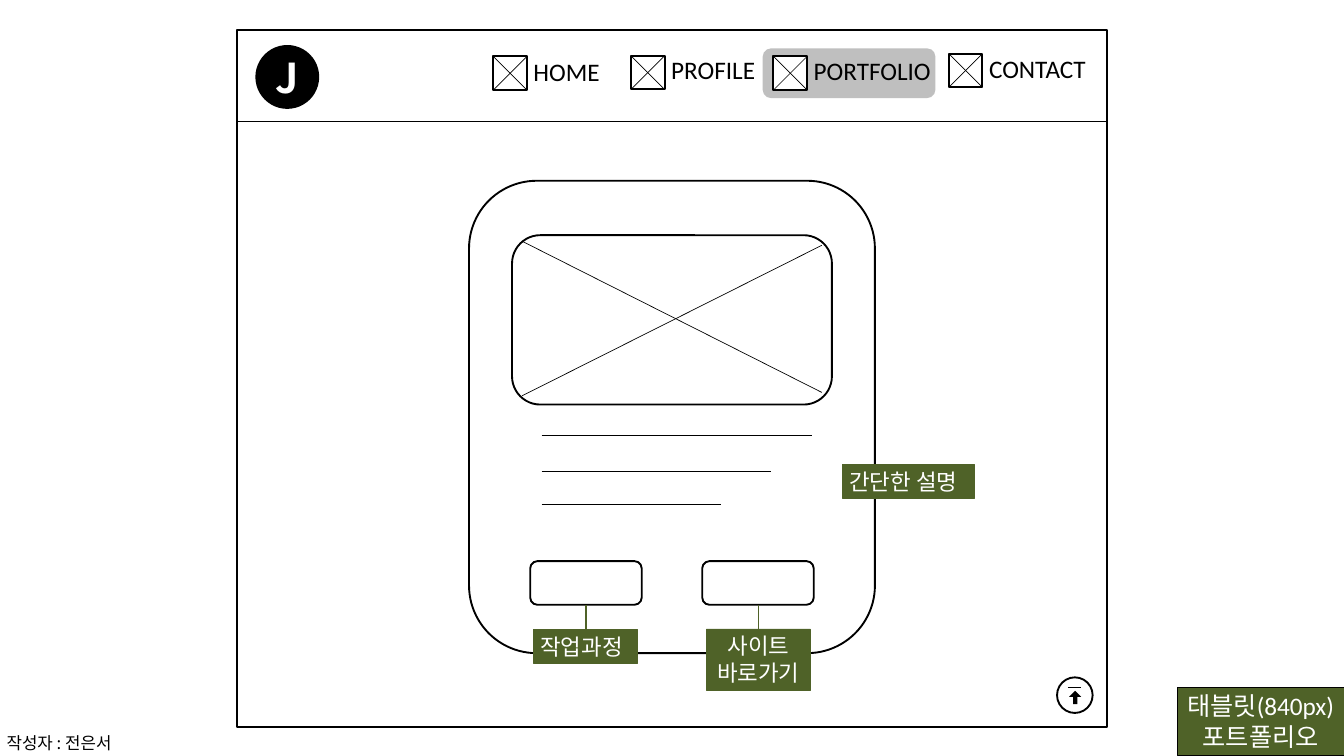
from dataclasses import dataclass

import pptx
import pptx.dml.color
import pptx.enum.shapes
import pptx.enum.text
import pptx.oxml.ns
import pptx.shapes.autoshape
import pptx.shapes.shapetree
import pptx.util
from lxml import etree
from pptx.util import Inches

COLORS = {"ink": "000000", "paper": "FFFFFF", "label": "4F6228", "active": "BFBFBF"}
LATIN_FONT = "Calibri"
KOREAN_FONT = "Noto Sans CJK KR"
ICON_SIZE = 0.5
SHAPES = pptx.enum.shapes.MSO_SHAPE
ALIGN = pptx.enum.text.PP_ALIGN
ANCHOR = pptx.enum.text.MSO_ANCHOR


@dataclass
class Box:
    left: float
    top: float
    width: float
    height: float

    def lengths(self) -> list:
        return [Inches(value) for value in (self.left, self.top, self.width, self.height)]


@dataclass
class TextStyle:
    size: float
    color: str
    font: str = LATIN_FONT
    align: ALIGN = ALIGN.LEFT
    bold: bool = False


@dataclass
class Label:
    box: Box
    lines: list
    size: float = 24
    border: str = "label"
    align: ALIGN = ALIGN.CENTER


@dataclass
class NavItem:
    text: str
    icon_left: float
    icon_top: float
    text_top: float
    text_width: float


def rgb(name: str) -> pptx.dml.color.RGBColor:
    return pptx.dml.color.RGBColor.from_string(COLORS[name])


def draw_shape(shapes: pptx.shapes.shapetree.SlideShapes, kind: SHAPES, box: Box,
               fill: str = "", border: str = "ink") -> pptx.shapes.autoshape.Shape:
    shape = shapes.add_shape(kind, *box.lengths())
    shape.shadow.inherit = False
    if fill:
        shape.fill.solid()
        shape.fill.fore_color.rgb = rgb(fill)
    else:
        shape.fill.background()
    if border:
        shape.line.color.rgb = rgb(border)
        shape.line.width = pptx.util.Pt(2)
    else:
        shape.line.fill.background()
    return shape


def draw_line(shapes: pptx.shapes.shapetree.SlideShapes, start: tuple, end: tuple,
              width: float = 0.75, color: str = "ink") -> None:
    points = [Inches(value) for value in (*start, *end)]
    connector = shapes.add_connector(pptx.enum.shapes.MSO_CONNECTOR.STRAIGHT, *points)
    connector.line.color.rgb = rgb(color)
    connector.line.width = pptx.util.Pt(width)
    properties = connector._element.spPr
    etree.SubElement(properties, pptx.oxml.ns.qn("a:effectLst"))


def write_text(shape: pptx.shapes.autoshape.Shape, lines: list, style: TextStyle) -> None:
    frame = shape.text_frame
    for index, line in enumerate(lines):
        paragraph = frame.add_paragraph() if index else frame.paragraphs[0]
        paragraph.alignment = style.align
        run = paragraph.add_run()
        run.text = line
        run.font.name = style.font
        run.font.size = pptx.util.Pt(style.size)
        run.font.bold = style.bold
        run.font.color.rgb = rgb(style.color)


def draw_text(shapes: pptx.shapes.shapetree.SlideShapes, box: Box, lines: list,
              style: TextStyle) -> pptx.shapes.autoshape.Shape:
    text_box = shapes.add_textbox(*box.lengths())
    text_box.text_frame.word_wrap = False
    text_box.text_frame.auto_size = pptx.enum.text.MSO_AUTO_SIZE.SHAPE_TO_FIT_TEXT
    write_text(text_box, lines, style)
    return text_box


def draw_label(shapes: pptx.shapes.shapetree.SlideShapes, label: Label) -> None:
    style = TextStyle(label.size, "paper", align=label.align)
    text_box = draw_text(shapes, label.box, label.lines, style)
    text_box.fill.solid()
    text_box.fill.fore_color.rgb = rgb("label")
    text_box.line.color.rgb = rgb(label.border)
    text_box.line.width = pptx.util.Pt(0.75)


def draw_nav_item(shapes: pptx.shapes.shapetree.SlideShapes, item: NavItem) -> None:
    group = shapes.add_group_shape().shapes
    left, top = item.icon_left, item.icon_top
    right, bottom = left + ICON_SIZE, top + ICON_SIZE
    draw_shape(group, SHAPES.RECTANGLE, Box(left, top, ICON_SIZE, ICON_SIZE), "paper")
    draw_line(group, (left, bottom), (right, top))
    draw_line(group, (right, bottom), (left, top))
    draw_text(group, Box(right, item.text_top, item.text_width, 0.56), [item.text],
              TextStyle(27, "ink"))


def draw_card(shapes: pptx.shapes.shapetree.SlideShapes) -> None:
    group = shapes.add_group_shape().shapes
    for box in (
        Box(6.98, 2.69, 6.04, 7.03),
        Box(7.62, 3.5, 4.76, 2.52),
        Box(7.89, 8.35, 1.66, 0.65),
        Box(10.45, 8.35, 1.66, 0.65),
    ):
        draw_shape(group, SHAPES.ROUNDED_RECTANGLE, box, "paper")
    for top, right in ((6.48, 12.08), (7.01, 11.48), (7.5, 10.73)):
        draw_line(group, (8.06, top), (right, top))
    draw_line(group, (7.77, 5.89), (12.23, 3.65))
    draw_line(group, (7.77, 3.59), (12.23, 5.84))


def draw_top_button(shapes: pptx.shapes.shapetree.SlideShapes) -> None:
    group = shapes.add_group_shape().shapes
    draw_shape(group, SHAPES.OVAL, Box(15.73, 10.08, 0.53, 0.53))
    arrow = draw_shape(group, SHAPES.UP_ARROW, Box(15.91, 10.28, 0.18, 0.2), "ink", "")
    arrow.adjustments[0] = 0.36
    draw_line(group, (15.89, 10.23), (16.09, 10.23), 1)


def main() -> None:
    presentation = pptx.Presentation()
    presentation.slide_width = Inches(20)
    presentation.slide_height = Inches(11.25)
    slide = presentation.slides.add_slide(presentation.slide_layouts[6])
    shapes = slide.shapes

    draw_shape(shapes, SHAPES.RECTANGLE, Box(3.53, 0.44, 12.94, 10.38))
    draw_line(shapes, (3.53, 1.81), (16.47, 1.81))
    draw_card(shapes)

    for label in (
        Label(Box(12.54, 6.91, 1.96, 0.5), ["간단한 설명"], align=ALIGN.LEFT),
        Label(Box(17.52, 10.23, 2.48, 1.01), ["태블릿(840px)", "포트폴리오"], 27, "ink"),
        Label(Box(7.94, 9.37, 1.55, 0.5), ["작업과정"], align=ALIGN.LEFT),
        Label(Box(10.51, 9.36, 1.55, 0.91), ["사이트", "바로가기"]),
    ):
        draw_label(shapes, label)

    draw_top_button(shapes)
    for left, bottom in ((8.72, 9.37), (11.29, 9.36)):
        draw_line(shapes, (left, 9), (left, bottom), 1.5, "label")
    draw_text(shapes, Box(0, 10.85, 1.9, 0.4), ["작성자 : 전은서"],
              TextStyle(18, "ink", KOREAN_FONT))

    draw_shape(shapes, SHAPES.ROUNDED_RECTANGLE, Box(11.35, 0.72, 2.57, 0.74), "active", "")
    for item in (
        NavItem("HOME", 7.34, 0.84, 0.79, 1.2),
        NavItem("PROFILE", 9.39, 0.83, 0.76, 1.46),
        NavItem("PORTFOLIO", 11.51, 0.84, 0.77, 1.96),
        NavItem("CONTACT", 14.12, 0.8, 0.74, 1.65),
    ):
        draw_nav_item(shapes, item)

    badge = draw_shape(shapes, SHAPES.OVAL, Box(3.8, 0.67, 0.95, 0.95), "ink", "")
    badge.text_frame.vertical_anchor = ANCHOR.MIDDLE
    write_text(badge, ["J"], TextStyle(44, "paper", KOREAN_FONT, ALIGN.CENTER, True))

    presentation.save("out.pptx")


if __name__ == "__main__":
    main()
